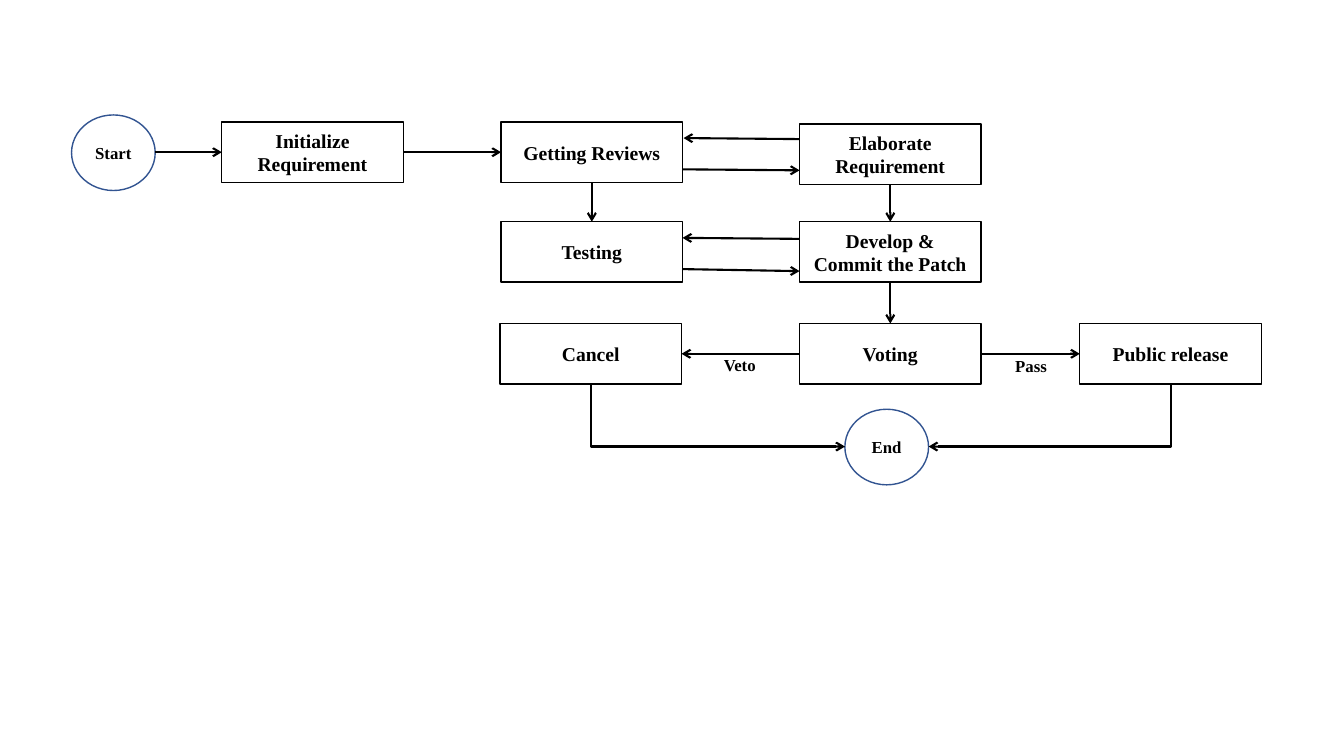
from pptx import Presentation
from pptx import util as u
from pptx.dml.color import RGBColor
from pptx.enum import shapes, text
from pptx.oxml import parse_xml
from pptx.oxml.ns import nsdecls, qn

BOX_SIZE = (1.8, 0.6)
CIRCLE_SIZE = (0.83, 0.75)
STEPS = {
    "Initialize Requirement": (2.2, 1.21),
    "Getting Reviews": (4.97, 1.21),
    "Elaborate Requirement": (7.93, 1.23),
    "Testing": (4.97, 2.2),
    "Develop & Commit the Patch": (7.93, 2.2),
    "Voting": (7.93, 3.21),
    "Public release": (10.71, 3.21),
    "Cancel": (4.96, 3.21),
}
TERMINALS = {"Start": (0.71, 1.14), "End": (8.38, 4.06)}
LABELS = {"Pass": (9.97, 3.48), "Veto": (7.08, 3.47)}
TOP, LEFT, BOTTOM, RIGHT = range(4)
JOINED = [
    ("Initialize Requirement", RIGHT, "Getting Reviews", LEFT),
    ("Getting Reviews", BOTTOM, "Testing", TOP),
    ("Elaborate Requirement", BOTTOM, "Develop & Commit the Patch", TOP),
    ("Develop & Commit the Patch", BOTTOM, "Voting", TOP),
    ("Voting", RIGHT, "Public release", LEFT),
    ("Voting", LEFT, "Cancel", RIGHT),
]
EXCHANGES = [
    (7.93, 1.38, 6.78, 1.37),
    (6.77, 1.68, 7.93, 1.69),
    (7.93, 2.37, 6.77, 2.36),
    (6.77, 2.67, 7.93, 2.69),
]
ELBOWS = [(11.61, 3.81, 9.21, 4.43), (5.86, 3.81, 8.38, 4.43)]
STEP_FONT = {"name": "Times New Roman", "size": u.Pt(14), "bold": True}
SMALL_FONT = {**STEP_FONT, "size": u.Pt(12)}
LABEL_FRAME = {"word_wrap": False, "auto_size": text.MSO_AUTO_SIZE.SHAPE_TO_FIT_TEXT}
SHAPE_FRAME = {"word_wrap": True, "vertical_anchor": text.MSO_ANCHOR.MIDDLE}


def color(value):
    return RGBColor.from_string(value)


def apply(target, values):
    for name, value in values.items():
        setattr(target, name, value)


def write(box, words, font, frame_format, align):
    apply(box.text_frame, frame_format)
    para = box.text_frame.paragraphs[0]
    para.alignment = align
    span = para.add_run()
    span.text = words
    apply(span.font, font)
    span.font.color.rgb = color("000000")


def add_node(page, kind, words, place, size, outline, font):
    node = page.shapes.add_shape(kind, *map(u.Inches, place + size))
    node.shadow.inherit = False
    node.fill.solid()
    node.fill.fore_color.rgb = color("FFFFFF")
    node.line.color.rgb = color(outline)
    node.line.width = u.Pt(1)
    write(node, words, font, SHAPE_FRAME, text.PP_ALIGN.CENTER)
    return node


def add_arrow(page, kind=shapes.MSO_CONNECTOR.STRAIGHT, ends=(0, 0, 0, 0)):
    arrow = page.shapes.add_connector(kind, *map(u.Inches, ends))
    arrow.line.color.rgb = color("000000")
    arrow.line.width = u.Pt(1.5)
    arrow.line._get_or_add_ln().append(
        parse_xml(f'<a:tailEnd {nsdecls("a")} type="arrow"/>'))
    arrow._element.spPr.append(parse_xml(f'<a:effectLst {nsdecls("a")}/>'))
    return arrow


def add_elbow(page, x1, y1, x2, y2):
    drop, run = y2 - y1, abs(x2 - x1)
    near, far = (x1 + x2 - drop) / 2, (x1 + x2 + drop) / 2
    top = (y1 + y2 - run) / 2
    rightward = x2 > x1
    start, end = (far, near) if rightward else (near, far)
    elbow = add_arrow(page, shapes.MSO_CONNECTOR.ELBOW, (start, top, end, top + run))
    properties = elbow._element.spPr
    properties.find(qn("a:prstGeom")).set("prst", "bentConnector2")
    properties.find(qn("a:xfrm")).set("rot", str((270 if rightward else 90) * 60000))


def main():
    deck = Presentation()
    deck.slide_width, deck.slide_height = u.Inches(13.33), u.Inches(7.5)
    page = deck.slides.add_slide(deck.slide_layouts[6])

    boxes = {
        words: add_node(page, shapes.MSO_SHAPE.RECTANGLE, words, place,
                        BOX_SIZE, "000000", STEP_FONT)
        for words, place in STEPS.items()
    }
    for words, place in TERMINALS.items():
        add_node(page, shapes.MSO_SHAPE.OVAL, words, place,
                 CIRCLE_SIZE, "325491", SMALL_FONT)
    for words, place in LABELS.items():
        label = page.shapes.add_textbox(*map(u.Inches, place + (0.52, 0.3)))
        write(label, words, SMALL_FONT, LABEL_FRAME, text.PP_ALIGN.LEFT)

    for source, exit_side, target, entry_side in JOINED:
        arrow = add_arrow(page)
        arrow.begin_connect(boxes[source], exit_side)
        arrow.end_connect(boxes[target], entry_side)
    entry = add_arrow(page, ends=(1.54, 1.51, 2.2, 1.51))
    entry.end_connect(boxes["Initialize Requirement"], LEFT)
    for ends in EXCHANGES:
        add_arrow(page, ends=ends)
    for ends in ELBOWS:
        add_elbow(page, *ends)

    deck.save("out.pptx")


if __name__ == "__main__":
    main()
